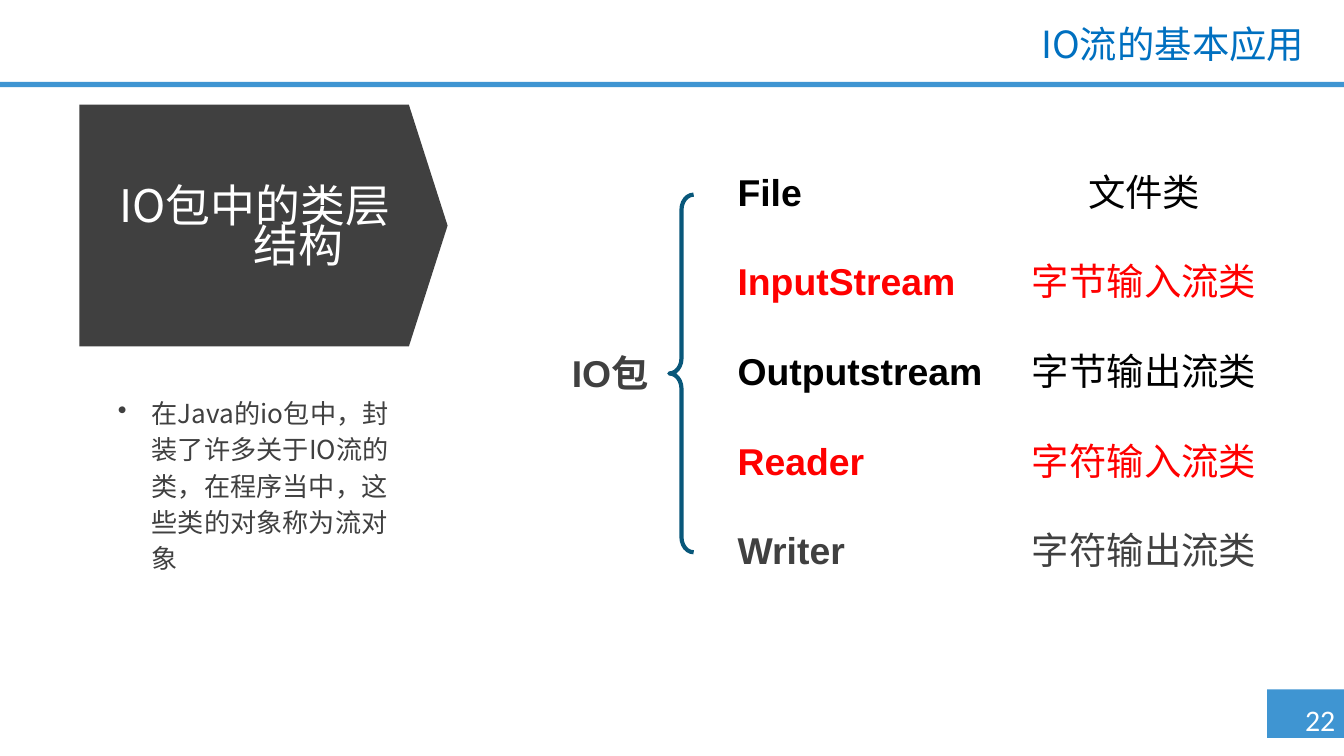
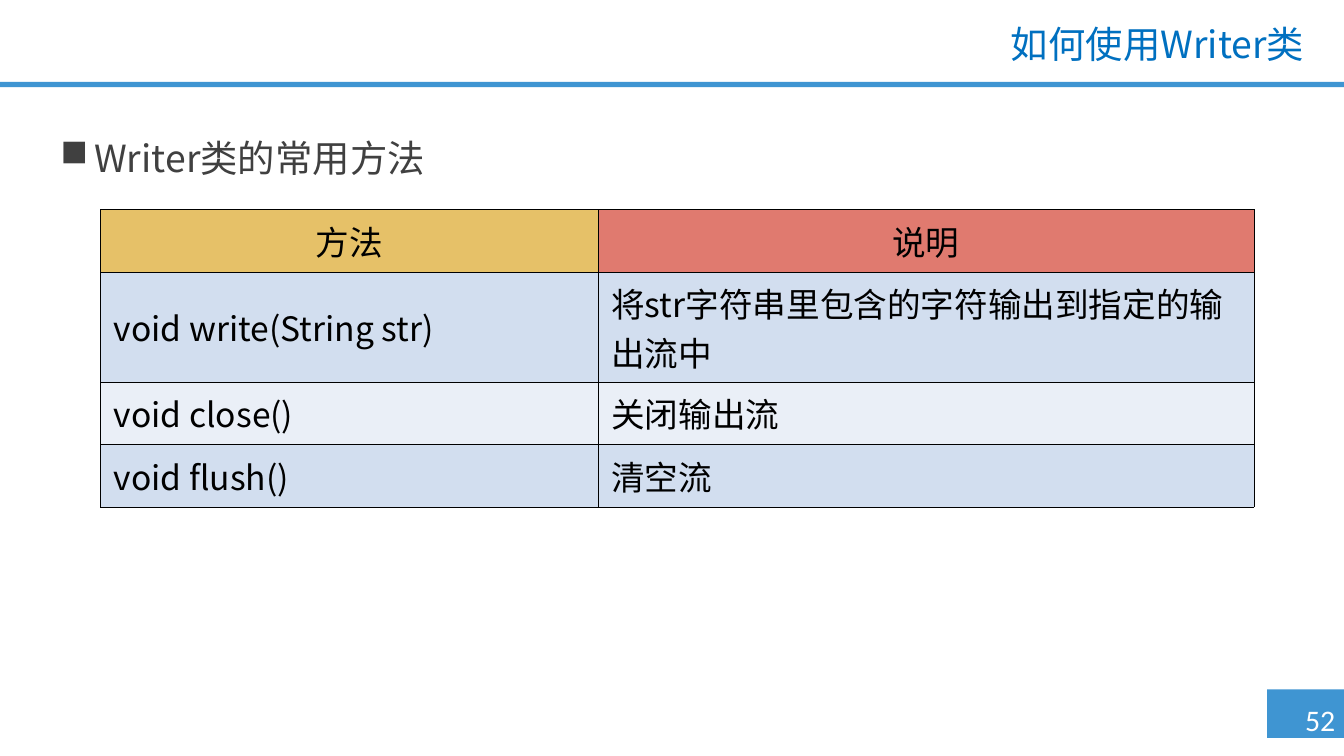
"""Build two slides on Java IO streams."""
import pptx
import pptx.dml.color
import pptx.enum.shapes
import pptx.enum.text
import pptx.oxml
import pptx.oxml.ns
import pptx.util

Cm = pptx.util.Cm
Pt = pptx.util.Pt
RGB = pptx.dml.color.RGBColor
SHAPE = pptx.enum.shapes.MSO_SHAPE
ALIGN = pptx.enum.text.PP_ALIGN
MID = pptx.enum.text.MSO_ANCHOR.MIDDLE
TOP = pptx.enum.text.MSO_ANCHOR.TOP

BLUE = RGB(0x3F, 0x95, 0xD2)
TITLE = RGB(0x00, 0x70, 0xC0)
DARK = RGB(0x40, 0x40, 0x40)
TEAL = RGB(0x08, 0x57, 0x7A)
RED = RGB(0xFF, 0x00, 0x00)
BLACK = RGB(0x00, 0x00, 0x00)
WHITE = RGB(0xFF, 0xFF, 0xFF)
GOLD = RGB(0xE6, 0xC1, 0x68)
CORAL = RGB(0xE0, 0x7A, 0x6F)
BANDS = (RGB(0xD2, 0xDE, 0xEF), RGB(0xEA, 0xEF, 0xF7))

NOTO = "Noto Sans CJK SC"
WIDE, HIGH = 25.4, 14.29

LIST = (
    ("File", "文件类", BLACK),
    ("InputStream", "字节输入流类", RED),
    ("Outputstream", "字节输出流类", BLACK),
    ("Reader", "字符输入流类", RED),
    ("Writer", "字符输出流类", DARK),
)
ROWS = (
    ("方法", "说明"),
    ("void write(String str)", "将str字符串里包含的字符输出到指定的输出流中"),
    ("void close()", "关闭输出流"),
    ("void flush()", "清空流"),
)


def add_xml(node, tag, body="", attrs=""):
    """Append one drawing element to a node."""
    space = pptx.oxml.ns.nsdecls("a")
    node.append(pptx.oxml.parse_xml(f"<a:{tag} {space} {attrs}>{body}</a:{tag}>"))


def style(para, size, color, font=NOTO, bold=False, align=ALIGN.LEFT):
    """Format a paragraph and its runs."""
    para.alignment = align
    for run in para.runs:
        run.font.size = Pt(size)
        run.font.bold = bold
        run.font.name = font
        run.font.color.rgb = color
        add_xml(run.font._element, "ea", attrs=f'typeface="{NOTO}"')


def indent(para, hang, mark=None):
    """Give a paragraph a hanging indent and maybe a bullet."""
    props = para._p.get_or_add_pPr()
    props.set("marL", str(Cm(hang)))
    props.set("indent", str(-Cm(hang)))
    if mark:
        add_xml(props, "buChar", attrs=f'char="{mark}"')


def add_text(slide, box, lines, anchor=TOP):
    """Add a wrapped text box and return its paragraphs."""
    frame = slide.shapes.add_textbox(*map(Cm, box)).text_frame
    frame.word_wrap = True
    frame.vertical_anchor = anchor
    frame.text = "\n".join(lines)
    return frame.paragraphs


def add_block(slide, kind, box, color):
    """Add a plain filled shape."""
    shape = slide.shapes.add_shape(kind, *map(Cm, box))
    shape.shadow.inherit = False
    shape.fill.solid()
    shape.fill.fore_color.rgb = color
    shape.line.fill.background()
    return shape


def add_frame(deck, title, page):
    """Add a slide with its band, title and page number."""
    slide = deck.slides.add_slide(deck.slide_layouts[6])
    add_block(slide, SHAPE.RECTANGLE, (WIDE - 1.45, 13.03, 1.45, 0.92), BLUE)
    add_block(slide, SHAPE.RECTANGLE, (0, 1.55, WIDE, 0.1), BLUE)
    para = add_text(slide, (WIDE - 1.11, 13.13, 1.32, 0.94), [page])[0]
    style(para, 16, WHITE, "Calibri", align=ALIGN.CENTER)
    para = add_text(slide, (6.1, 0.38, 18.8, 1.02), [title])[0]
    para.line_spacing = 0.9
    style(para, 20, TITLE, align=ALIGN.RIGHT)
    return slide


def add_topic(slide, box):
    """Add the arrow heading and the note below it."""
    left, top, width, height = box
    arrow = add_block(slide, SHAPE.PENTAGON, (left, top, width, 4.57), DARK)
    arrow.adjustments[0] = 0.16
    head = add_text(slide, (left + 0.51, top + 0.53, 6.45, 3.71),
                    ["IO包中的类层结构"], MID)[0]
    indent(head, 2.54)
    head.line_spacing = 0.74
    style(head, 24, WHITE)
    note = add_text(slide, (left + 0.48, top + 5.31, 6.05, height - 5.31),
                    ["在Java的io包中，封装了许多关于IO流的类，在程序当中，这些类的对象称为流对象"])[0]
    indent(note, 0.64, "•")
    note.line_spacing = 1.16
    style(note, 14, DARK)


def add_tree(slide, box):
    """Add the package label, its brace and the list of classes."""
    left, top, width, height = box
    label = add_text(slide, (left, top + height / 2 - 0.56, 2.39, 1.12),
                     ["IO包"], MID)[0]
    style(label, 20, DARK, "Arial", True, ALIGN.CENTER)
    brace = slide.shapes.add_shape(
        SHAPE.LEFT_BRACE, *map(Cm, (left + 2.31, top + 0.61, 0.46, 6.76)))
    brace.shadow.inherit = False
    brace.fill.background()
    brace.line.color.rgb = TEAL
    brace.line.width = Pt(2.25)
    brace.adjustments[0] = 0.62
    names, kinds, colors = zip(*LIST)
    columns = ((left + 3.35, names, True, ALIGN.LEFT),
               (left + width - 5.71, kinds, False, ALIGN.CENTER))
    for side, words, bold, align in columns:
        paras = add_text(slide, (side, top, 5.71, height), words)
        for i, (para, color) in enumerate(zip(paras, colors)):
            para.line_spacing = Pt(24)
            para.space_before = Pt(24 if i else 0)
            style(para, 20, color, "Arial", bold, align)


def add_grid(slide, box):
    """Add the table of methods."""
    left, top, width, height = box
    shape = slide.shapes.add_table(len(ROWS), 2, *map(Cm, box))
    table = shape.table
    table.first_row = table.horz_banding = False
    table.columns[0].width = Cm(9.4)
    table.columns[1].width = Cm(width - 9.4)
    line = '<a:solidFill><a:srgbClr val="000000"/></a:solidFill>'
    for r, words in enumerate(ROWS):
        table.rows[r].height = Cm(2.08 if r == 1 else (height - 2.08) / 3)
        for c, word in enumerate(words):
            cell = table.cell(r, c)
            cell.text_frame.text = word
            cell.vertical_anchor = MID
            align = ALIGN.LEFT if r else ALIGN.CENTER
            style(cell.text_frame.paragraphs[0], 18, BLACK, align=align)
            props = cell._tc.get_or_add_tcPr()
            for side in "LRTB":
                add_xml(props, "ln" + side, line, f'w="{Pt(0.25)}"')
            cell.fill.solid()
            cell.fill.fore_color.rgb = (
                BANDS[(r - 1) % 2] if r else (GOLD, CORAL)[c])


def add_point(slide, box):
    """Add the square-marked heading above the table."""
    para = add_text(slide, box, ["Writer类的常用方法"])[0]
    indent(para, 0.64, "■")
    para.line_spacing = Pt(25)
    style(para, 20, DARK)


def main():
    """Build and save the deck."""
    deck = pptx.Presentation()
    deck.slide_width, deck.slide_height = Cm(WIDE), Cm(HIGH)
    slide = add_frame(deck, "IO流的基本应用", "22")
    add_topic(slide, (1.5, 1.98, 6.96, 9.98))
    add_tree(slide, (10.34, 3.07, 14.14, 7.95))
    slide = add_frame(deck, "如何使用Writer类", "52")
    add_point(slide, (0.89, 2.4, 23.19, 1.17))
    add_grid(slide, (1.9, 3.96, 21.8, 5.62))
    deck.save("out.pptx")


if __name__ == "__main__":
    main()
